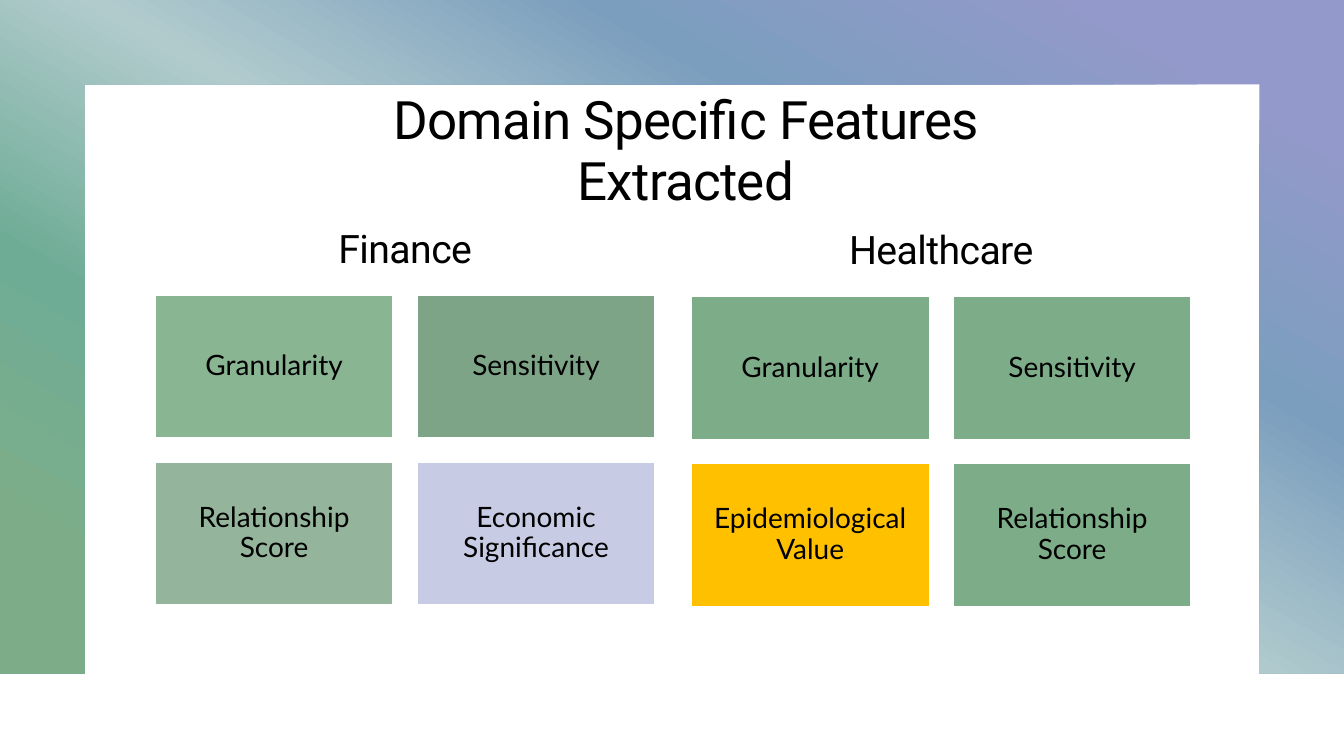
from pptx import Presentation
from pptx.dml.color import RGBColor
from pptx.enum.shapes import MSO_SHAPE as SHAPE
from pptx.enum.text import MSO_ANCHOR as ANCHOR, PP_ALIGN as ALIGN
from pptx.oxml.ns import qn
from pptx.util import Cm, Pt
from lxml.etree import SubElement

WIDTH, HEIGHT = 33.87, 19.05
GRADIENT = [(10, "9399CA"), (30, "7B9EBE"), (50, "B1CBCD"), (70, "6FAC96"), (90, "7DAD88")]
FINANCE = [
    ("Granularity", "7DAD88", 90),
    ("Sensitivity", "568962", 77),
    ("Relationship Score", "568962", 63),
    ("Economic Significance", "9399CA", 50),
]
HEALTHCARE = [
    ("Granularity", "7DAD88", 100),
    ("Sensitivity", "7DAD88", 100),
    ("Epidemiological Value", "FFC000", 100),
    ("Relationship Score", "7DAD88", 100),
]


def color(hex_code):
    """Turn a hex string into a colour."""
    return RGBColor.from_string(hex_code)


def write(tf, text, font, size, line_spacing, tracking=0):
    """Write one centred black paragraph into a text frame."""
    tf.word_wrap = True
    p = tf.paragraphs[0]
    p.alignment = ALIGN.CENTER
    p.line_spacing = line_spacing
    r = p.add_run()
    r.text = text
    r.font.name = font
    r.font.size = Pt(size)
    r.font.color.rgb = color("000000")
    if tracking:
        r._r.get_or_add_rPr().set("spc", str(round(tracking * 100)))


def add_heading(s, text, left, top, width, height, size, tracking):
    """Add a centred heading in the given box."""
    sp = s.shapes.add_textbox(Cm(left), Cm(top), Cm(width), Cm(height))
    write(sp.text_frame, text, "Roboto", size, 0.95, tracking)


def add_frame(s, width, height, border):
    """Add the gradient border that is open at the bottom."""
    right = width - border
    points = [(width, 0), (width, height), (right, height), (right, border),
              (border, border), (border, height), (0, height)]
    builder = s.shapes.build_freeform(0, 0)
    builder.add_line_segments([(Cm(x), Cm(y)) for x, y in points], close=True)
    sp = builder.convert_to_shape()
    sp.shadow.inherit = False
    sp.line.fill.background()
    sp.fill.gradient()
    sp.fill.gradient_angle = 240
    stops = next(sp.element.iter(qn("a:gsLst")))
    stops.clear()
    for position, hex_code in GRADIENT:
        stop = SubElement(stops, qn("a:gs"), pos=str(position * 1000))
        SubElement(stop, qn("a:srgbClr"), val=hex_code)


def add_card(s, text, fill, opacity, left, top, width, height):
    """Add one feature card."""
    sp = s.shapes.add_shape(SHAPE.RECTANGLE, Cm(left), Cm(top), Cm(width), Cm(height))
    sp.shadow.inherit = False
    sp.fill.solid()
    sp.fill.fore_color.rgb = color(fill)
    if opacity < 100:
        srgb = next(sp.element.spPr.iter(qn("a:srgbClr")))
        SubElement(srgb, qn("a:alpha"), val=str(opacity * 1000))
    sp.line.color.rgb = color("FFFFFF")
    sp.line.width = Pt(1)
    tf = sp.text_frame
    tf.vertical_anchor = ANCHOR.MIDDLE
    tf.margin_left = tf.margin_right = tf.margin_top = tf.margin_bottom = Cm(0.2)
    write(tf, text, "Lato", 20, 0.9)


def add_domain(s, name, features, left, top, width):
    """Add a domain heading above its two by two grid of cards."""
    gap, card_height, grid_top = 0.6, 3.6, top + 1.83
    card_width = (width - gap) / 2
    add_heading(s, name, left, top, width, 1.65, 28, -0.4)
    for i, (text, fill, opacity) in enumerate(features):
        row, column = divmod(i, 2)
        add_card(s, text, fill, opacity,
                 left + column * (card_width + gap),
                 grid_top + row * (card_height + gap),
                 card_width, card_height)


def main():
    """Build and save the slide."""
    prs = Presentation()
    prs.slide_width, prs.slide_height = Cm(WIDTH), Cm(HEIGHT)
    s = prs.slides.add_slide(prs.slide_layouts[6])
    add_frame(s, WIDTH, 16.97, 2.13)
    add_heading(s, "Domain Specific Features Extracted", 9.12, 2.18, 16.33, 1.85, 37.8, -0.5)
    add_domain(s, "Finance", FINANCE, 3.91, 5.61, 12.6)
    add_domain(s, "Healthcare", HEALTHCARE, 17.42, 5.65, 12.6)
    prs.save("out.pptx")


if __name__ == "__main__":
    main()
